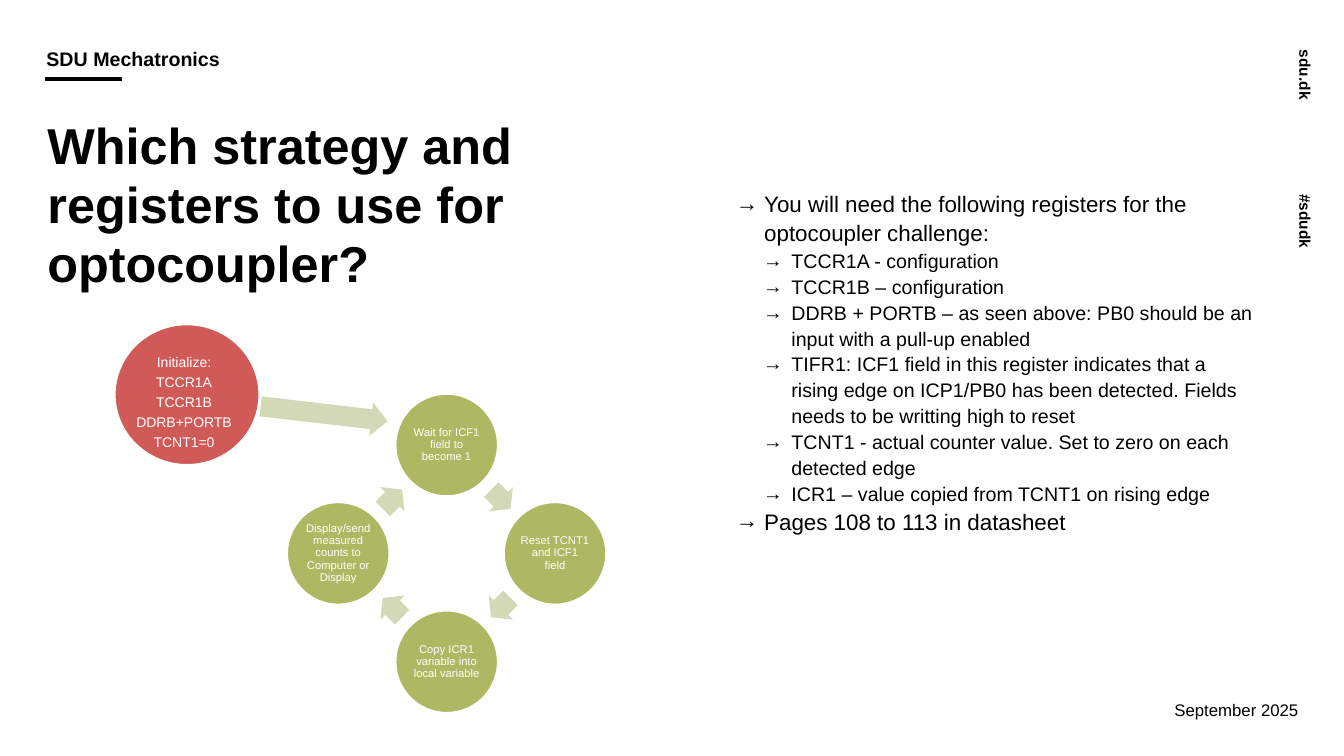
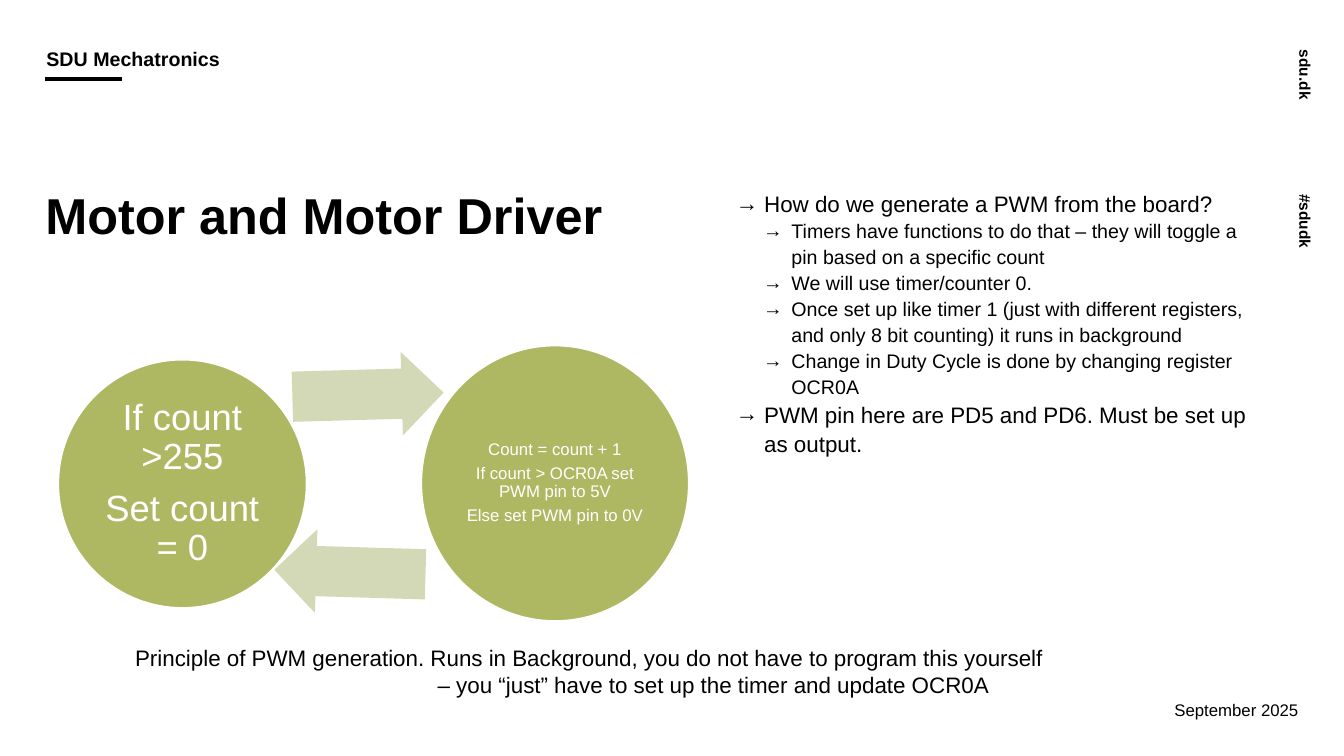
from dataclasses import dataclass
from math import cos, radians, sin

from lxml.etree import SubElement
from pptx import Presentation
from pptx.dml.color import RGBColor
from pptx.enum.shapes import MSO_CONNECTOR, MSO_SHAPE
from pptx.enum.text import MSO_ANCHOR, MSO_AUTO_SIZE, PP_ALIGN
from pptx.oxml.ns import qn
from pptx.util import Pt

PX = 9144


@dataclass(frozen=True)
class Theme:
    font: str = "Arial"
    ink: RGBColor = RGBColor(0, 0, 0)
    paper: RGBColor = RGBColor(255, 255, 255)
    step: RGBColor = RGBColor(0xAE, 0xB8, 0x62)
    start: RGBColor = RGBColor(0xD0, 0x5A, 0x57)
    arrow: RGBColor = RGBColor(0xD3, 0xD8, 0xB7)
    title: int = 36
    large: int = 26
    body: int = 16
    detail: int = 14
    small: int = 12
    init: int = 10
    tag: int = 11
    tiny: int = 8


THEME = Theme()
BULLET_LEVELS = ((28, THEME.body), (55, THEME.detail))
BULLET_HANG = 28
LABEL_STYLE = {"alignment": PP_ALIGN.CENTER, "line_spacing": 0.9}


@dataclass(frozen=True)
class Box:
    left: int
    top: int
    width: int
    height: int

    def inner(self, left, top, width, height):
        return Box(self.left + left, self.top + top, width, height)

    def centred(self, across, down, width, height):
        left = (self.width - width) / 2 + across
        top = (self.height - height) / 2 + down
        return self.inner(left, top, width, height)

    def emu(self):
        return [round(side * PX) for side in (self.left, self.top, self.width, self.height)]


TITLE_BOX = Box(45, 186, 587, 453)
BODY_BOX = Box(730, 186, 513, 453)


def apply(target, values):
    for name, value in values.items():
        setattr(target, name, value)


def set_frame(frame, anchor=MSO_ANCHOR.TOP, inset=(0, 0, 0, 0)):
    left, top, right, bottom = (side * PX for side in inset)
    apply(frame, {
        "word_wrap": True, "auto_size": MSO_AUTO_SIZE.NONE, "vertical_anchor": anchor,
        "margin_left": left, "margin_top": top, "margin_right": right, "margin_bottom": bottom,
    })


def add_para(frame, index, text, size, color=THEME.ink, bold=False, style=None):
    para = frame.paragraphs[0] if index == 0 else frame.add_paragraph()
    apply(para, style or {})
    span = para.add_run()
    span.text = text
    apply(span.font, {"name": THEME.font, "size": Pt(size), "bold": bold})
    span.font.color.rgb = color
    return para


def add_text(page, box, text, size, bold=False, style=None, rotation=0, **frame_values):
    shape = page.shapes.add_textbox(*box.emu())
    shape.rotation = rotation
    set_frame(shape.text_frame, **frame_values)
    add_para(shape.text_frame, 0, text, size, bold=bold, style=style)


def add_labels(frame, lines, size):
    set_frame(frame, MSO_ANCHOR.MIDDLE, (1, 1, 1, 1))
    style = {**LABEL_STYLE, "space_after": Pt(size * 0.35)}
    for index, line in enumerate(lines):
        add_para(frame, index, line, size, THEME.paper, style=style)


def add_preset(page, preset, box, color):
    shape = page.shapes.add_shape(preset, *box.emu())
    shape.shadow.inherit = False
    shape.fill.solid()
    shape.fill.fore_color.rgb = color
    return shape


def add_circle(page, box, color):
    circle = add_preset(page, MSO_SHAPE.OVAL, box, color)
    circle.line.color.rgb = THEME.paper
    circle.line.width = Pt(1)
    return circle


def add_step(page, box, lines, size):
    add_labels(add_circle(page, box, THEME.step).text_frame, lines, size)


def add_arrow(page, box, rotation):
    arrow = add_preset(page, MSO_SHAPE.RIGHT_ARROW, box, THEME.arrow)
    arrow.line.fill.background()
    arrow.adjustments[0], arrow.adjustments[1] = 0.6, 0.5
    arrow.rotation = rotation


def add_furniture(page):
    for text, top in (("sdu.dk", 79), ("#sdudk", 222)):
        add_text(page, Box(1256, top, 100, 41), text, THEME.tag, bold=True,
                 rotation=90, anchor=MSO_ANCHOR.BOTTOM)
    rule = page.shapes.add_connector(
        MSO_CONNECTOR.STRAIGHT, *(place * PX for place in (45, 78, 121, 78)))
    rule.line.color.rgb = THEME.ink
    rule.line.width = Pt(3)
    SubElement(rule._element.spPr, qn("a:effectLst"))
    add_text(page, Box(1001, 694, 287, 20), "September 2025", THEME.small,
             style={"alignment": PP_ALIGN.RIGHT})
    add_text(page, Box(45, 49, 622, 31), "SDU Mechatronics", THEME.detail, bold=True,
             style={"line_spacing": 0.9}, anchor=MSO_ANCHOR.BOTTOM, inset=(1, 0, 0, 10))


def add_page(deck, title, title_box):
    page = deck.slides.add_slide(deck.slide_layouts[5])
    add_furniture(page)
    holder = page.shapes.title
    apply(holder, dict(zip(("left", "top", "width", "height"), title_box.emu())))
    set_frame(holder.text_frame)
    add_para(holder.text_frame, 0, title, THEME.title, bold=True,
             style={"alignment": PP_ALIGN.LEFT, "line_spacing": 0.97})
    return page


def add_bullets(page, box, items):
    frame = page.shapes.add_textbox(*box.emu()).text_frame
    set_frame(frame)
    for index, (level, text) in enumerate(items):
        indent, size = BULLET_LEVELS[level]
        para = add_para(frame, index, text, size, style={"level": level, "line_spacing": 1.1})
        properties = para._p.get_or_add_pPr()
        properties.set("marL", str(indent * PX))
        properties.set("indent", str(-BULLET_HANG * PX))
        SubElement(properties, qn("a:buFont")).set("typeface", THEME.font)
        SubElement(properties, qn("a:buChar")).set("char", "→")


def add_cycle(page, box, steps):
    circle = 101
    radius = (box.width - circle) / 2
    turn = 360 / len(steps)
    for index, text in enumerate(steps):
        angle = radians(index * turn - 90)
        add_step(page, box.centred(radius * cos(angle), radius * sin(angle), circle, circle),
                 [text], THEME.tiny)
        middle = radians((index + 0.5) * turn - 90)
        reach = radius * cos(radians(turn / 2))
        add_arrow(page, box.centred(reach * cos(middle), reach * sin(middle), 27, 34),
                  (index + 0.5) * turn)


def add_start(page, box, lines):
    add_circle(page, box.inner(0, 0, 143, 139), THEME.start)
    labels = page.shapes.add_textbox(*box.inner(18, 29, 101, 98).emu())
    add_labels(labels.text_frame, lines, THEME.init)
    add_arrow(page, box.inner(144, 72, 127, 33), 6.6)


def add_exchange(page, box, first, second):
    add_step(page, box.inner(0, 14, 246, 246), first, THEME.large)
    add_arrow(page, box.inner(232, 7, 150, 83), 358.4)
    add_step(page, box.inner(360, 0, 265, 273), second, THEME.small)
    add_arrow(page, box.inner(214, 183, 150, 83), 181.7)


def add_caption(page, box, first, second):
    frame = page.shapes.add_textbox(*box.emu()).text_frame
    set_frame(frame)
    add_para(frame, 0, first, THEME.body)
    para = add_para(frame, 1, second, THEME.body)
    para._p.get_or_add_pPr().set("marL", str(300 * PX))


def build_strategy(deck):
    page = add_page(deck, "Which strategy and registers to use for optocoupler?",
                    Box(47, 117, 587, 453))
    add_bullets(page, BODY_BOX, [
        (0, "You will need the following registers for the optocoupler challenge:"),
        (1, "TCCR1A - configuration"),
        (1, "TCCR1B – configuration"),
        (1, "DDRB + PORTB – as seen above: PB0 should be an input with a pull-up enabled"),
        (1, "TIFR1: ICF1 field in this register indicates that a rising edge on ICP1/PB0 "
            "has been detected. Fields needs to be writting high to reset"),
        (1, "TCNT1 - actual counter value. Set to zero on each detected edge"),
        (1, "ICR1 – value copied from TCNT1 on rising edge"),
        (0, "Pages 108 to 113 in datasheet"),
    ])
    add_cycle(page, Box(285, 391, 316, 316), [
        "Wait for ICF1 field to become 1",
        "Reset TCNT1 and ICF1 field",
        "Copy ICR1 variable into local variable",
        "Display/send measured counts to Computer or Display",
    ])
    add_start(page, Box(114, 322, 271, 139),
              ["Initialize:", "TCCR1A", "TCCR1B", "DDRB+PORTB", "TCNT1=0"])


def build_motor(deck):
    page = add_page(deck, "Motor and Motor Driver", TITLE_BOX)
    add_exchange(page, Box(58, 343, 625, 273),
                 ["If count >255", "Set count = 0"],
                 ["Count = count + 1", "If count > OCR0A set PWM pin to 5V",
                  "Else set PWM pin to 0V"])
    add_bullets(page, BODY_BOX, [
        (0, "How do we generate a PWM from the board?"),
        (1, "Timers have functions to do that – they will toggle a pin based on a specific count"),
        (1, "We will use timer/counter 0."),
        (1, "Once set up like timer 1 (just with different registers, and only 8 bit counting) "
            "it runs in background"),
        (1, "Change in Duty Cycle is done by changing register OCR0A"),
        (0, "PWM pin here are PD5 and PD6. Must be set up as output."),
    ])
    add_caption(page, Box(134, 639, 918, 54),
                "Principle of PWM generation. Runs in Background, "
                "you do not have to program this yourself",
                "– you “just” have to set up the timer and update OCR0A")


def main():
    deck = Presentation()
    apply(deck, {"slide_width": 1333 * PX, "slide_height": 750 * PX})
    build_strategy(deck)
    build_motor(deck)
    deck.save("out.pptx")


if __name__ == "__main__":
    main()
